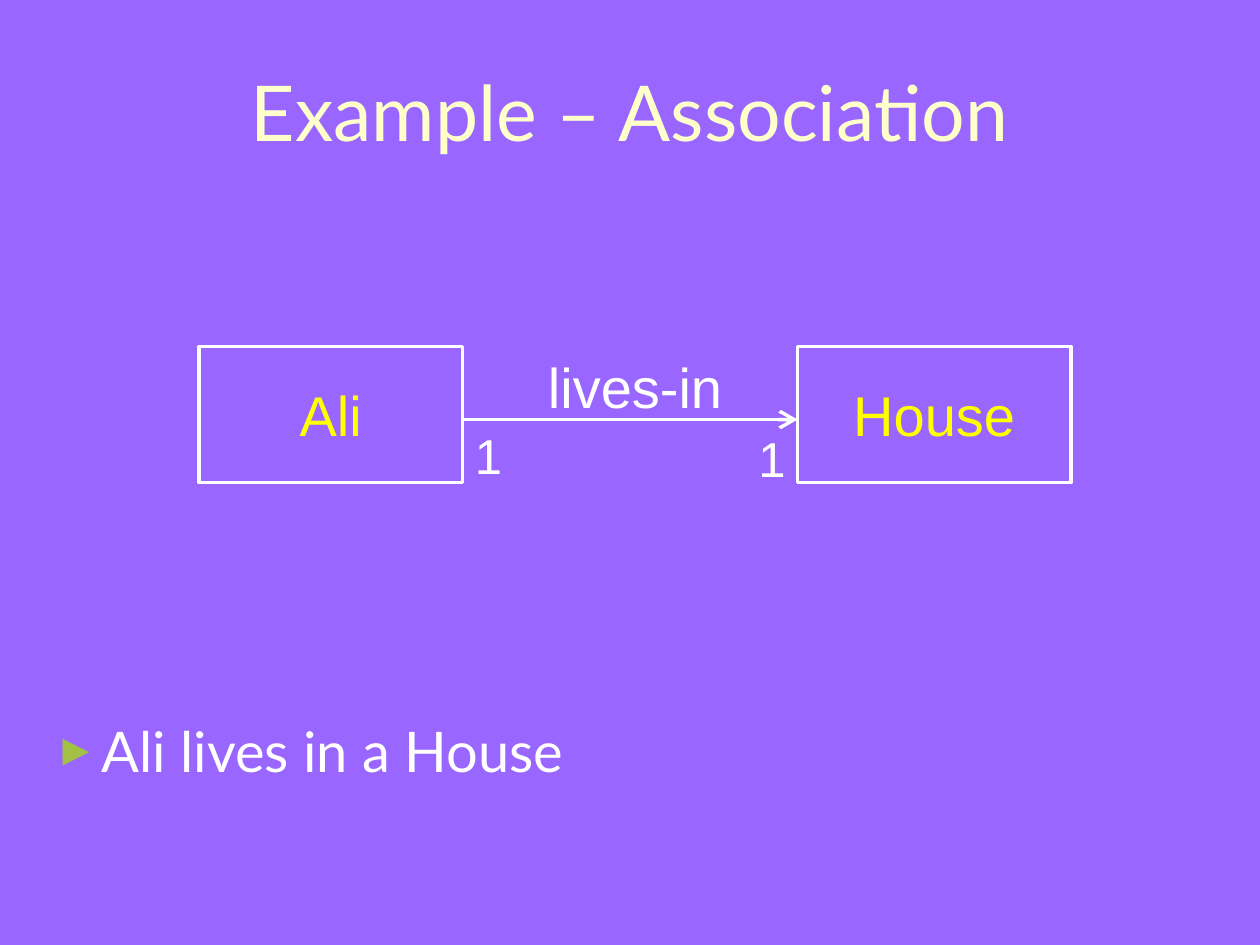
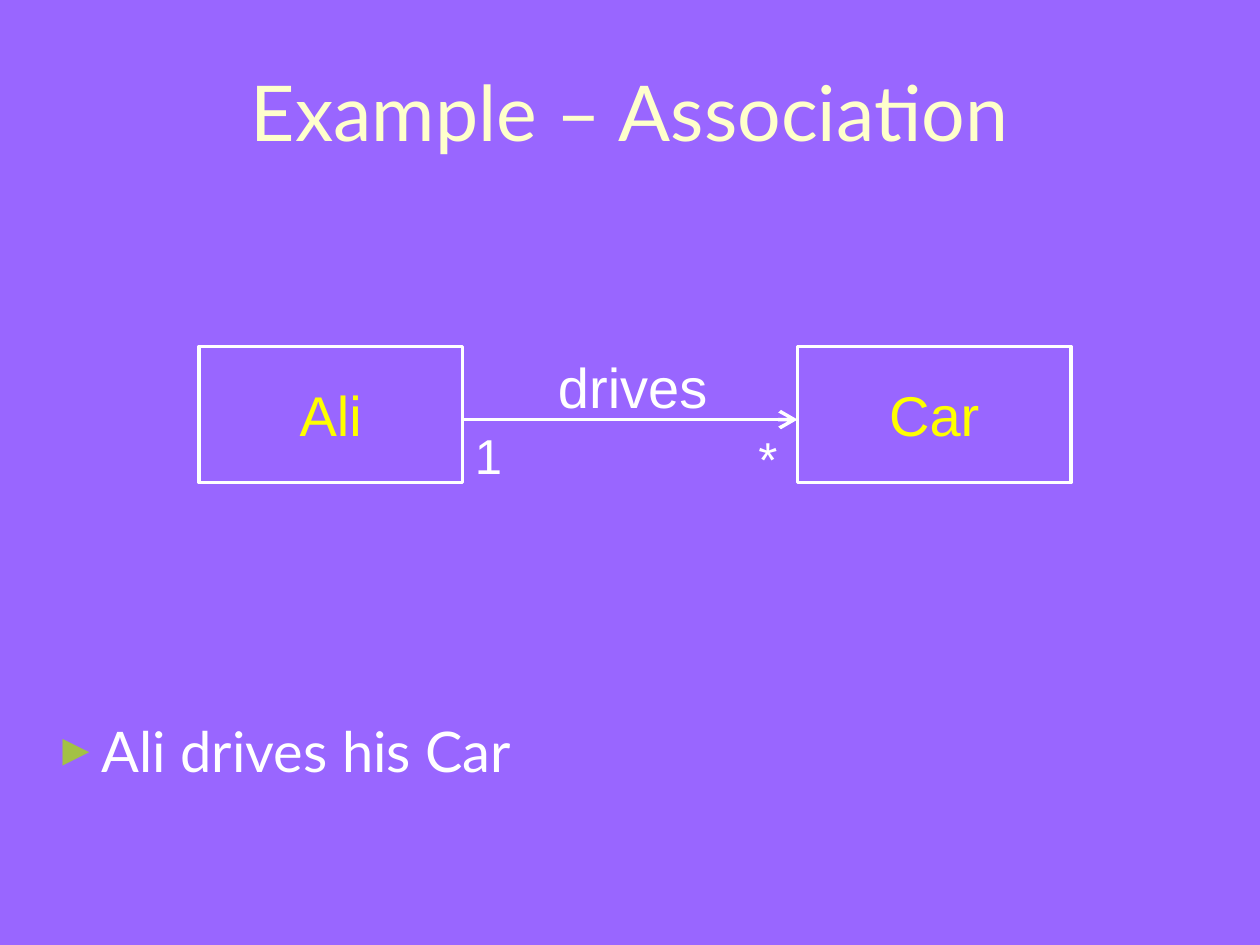
from dataclasses import dataclass

from lxml import etree
from pptx import Presentation
from pptx.dml.color import RGBColor
from pptx.enum.shapes import MSO_CONNECTOR, MSO_SHAPE
from pptx.enum.text import MSO_ANCHOR, MSO_AUTO_SIZE, PP_ALIGN
from pptx.oxml.ns import qn
from pptx.shapes.base import BaseShape
from pptx.slide import Slide
from pptx.util import Inches, Pt

RECTANGLE = MSO_SHAPE.RECTANGLE
STRAIGHT = MSO_CONNECTOR.STRAIGHT
TOP, MIDDLE = MSO_ANCHOR.TOP, MSO_ANCHOR.MIDDLE
LEFT, CENTER = PP_ALIGN.LEFT, PP_ALIGN.CENTER
GROW = MSO_AUTO_SIZE.SHAPE_TO_FIT_TEXT

COLORS = {
    "background": "9966FF",
    "title": "FFFFCC",
    "text": "FFFFFF",
    "class_name": "FFFF00",
    "line": "FFFFFF",
    "bullet": "A3C145",
}
TITLE = "Example – Association"
LINE_WIDTH = Pt(2)
ARROW_Y = 3.33


@dataclass(frozen=True)
class Box:
    left: float
    top: float
    width: float
    height: float

    @property
    def right(self) -> float:
        return self.left + self.width

    def lengths(self) -> list[int]:
        return [Inches(value) for value in (self.left, self.top, self.width, self.height)]


@dataclass(frozen=True)
class TextStyle:
    font: str
    size: int
    color: str
    align: PP_ALIGN = LEFT
    anchor: MSO_ANCHOR = TOP
    space_before: float = 0


@dataclass(frozen=True)
class Association:
    source: str
    target: str
    label: str
    label_left: float
    source_count: str
    target_count: str
    sentence: str


TITLE_STYLE = TextStyle("Lato", 44, "title", CENTER, MIDDLE)
SENTENCE_STYLE = TextStyle("Lato", 32, "text", space_before=8)
CLASS_STYLE = TextStyle("Arial", 32, "class_name", CENTER, MIDDLE)
LABEL_STYLE = TextStyle("Arial", 32, "text", space_before=20)
COUNT_STYLE = TextStyle("Arial", 28, "text", space_before=17.5)

TITLE_BOX = Box(0.33, 0.25, 9.34, 1.25)
SENTENCE_BOX = Box(0.33, 5.64, 9.34, 0.66)
SOURCE_BOX = Box(1.58, 2.75, 2.09, 1.08)
TARGET_BOX = Box(6.33, 2.75, 2.17, 1.08)
SOURCE_COUNT_BOX = Box(3.67, 3.33, 0.42, 0.57)
TARGET_COUNT_BOX = Box(5.92, 3.35, 0.42, 0.57)

ASSOCIATIONS = [
    Association("Ali", "House", "lives-in", 4.25, "1", "1", "Ali lives in a House"),
    Association("Ali", "Car", "drives", 4.33, "1", "*", "Ali drives his Car"),
]


def color(name: str) -> RGBColor:
    return RGBColor.from_string(COLORS[name])


def write_text(shape: BaseShape, text: str, style: TextStyle) -> None:
    frame = shape.text_frame
    frame.text = text
    frame.vertical_anchor = style.anchor
    paragraph = frame.paragraphs[0]
    paragraph.alignment = style.align
    paragraph.space_before = Pt(style.space_before)
    font = paragraph.runs[0].font
    font.name = style.font
    font.size = Pt(style.size)
    font.color.rgb = color(style.color)


def add_text(slide: Slide, box: Box, text: str, style: TextStyle, grow: bool = False) -> BaseShape:
    shape = slide.shapes.add_textbox(*box.lengths())
    write_text(shape, text, style)
    shape.text_frame.word_wrap = True
    if grow:
        shape.text_frame.auto_size = GROW
    return shape


def add_bullet(shape: BaseShape) -> None:
    """Give the first paragraph a hanging triangle bullet."""
    properties = shape.text_frame.paragraphs[0]._p.get_or_add_pPr()
    properties.set("marL", str(Inches(0.38)))
    properties.set("indent", str(-Inches(0.38)))
    bullet_color = etree.SubElement(properties, qn("a:buClr"))
    etree.SubElement(bullet_color, qn("a:srgbClr"), val=COLORS["bullet"])
    etree.SubElement(properties, qn("a:buSzPct"), val="80000")
    etree.SubElement(properties, qn("a:buFont"), typeface="Arial")
    etree.SubElement(properties, qn("a:buChar"), char="►")


def add_class_box(slide: Slide, box: Box, name: str) -> None:
    shape = slide.shapes.add_shape(RECTANGLE, *box.lengths())
    shape.shadow.inherit = False
    shape.fill.background()
    shape.line.color.rgb = color("line")
    shape.line.width = LINE_WIDTH
    write_text(shape, name, CLASS_STYLE)
    shape.text_frame.word_wrap = False


def add_arrow(slide: Slide) -> None:
    """Draw the arrow from the source class to the target class."""
    y = Inches(ARROW_Y)
    connector = slide.shapes.add_connector(
        STRAIGHT, Inches(SOURCE_BOX.right), y, Inches(TARGET_BOX.left), y
    )
    connector.line.color.rgb = color("line")
    connector.line.width = LINE_WIDTH
    line = connector.line._get_or_add_ln()
    etree.SubElement(line, qn("a:tailEnd"), type="arrow", w="lg", len="lg")
    etree.SubElement(connector._element.spPr, qn("a:effectLst"))


def add_association_slide(presentation: Presentation, association: Association) -> None:
    slide = presentation.slides.add_slide(presentation.slide_layouts[6])
    add_text(slide, TITLE_BOX, TITLE, TITLE_STYLE)
    add_bullet(add_text(slide, SENTENCE_BOX, association.sentence, SENTENCE_STYLE))
    add_class_box(slide, SOURCE_BOX, association.source)
    add_class_box(slide, TARGET_BOX, association.target)
    add_arrow(slide)
    label_box = Box(association.label_left, 2.75, 1.65, 0.64)
    add_text(slide, label_box, association.label, LABEL_STYLE, grow=True)
    add_text(slide, TARGET_COUNT_BOX, association.target_count, COUNT_STYLE, grow=True)
    add_text(slide, SOURCE_COUNT_BOX, association.source_count, COUNT_STYLE, grow=True)


def main() -> None:
    presentation = Presentation()
    presentation.slide_width = Inches(10)
    presentation.slide_height = Inches(7.5)
    background = presentation.slide_master.background.fill
    background.solid()
    background.fore_color.rgb = color("background")
    for association in ASSOCIATIONS:
        add_association_slide(presentation, association)
    presentation.save("out.pptx")


if __name__ == "__main__":
    main()
